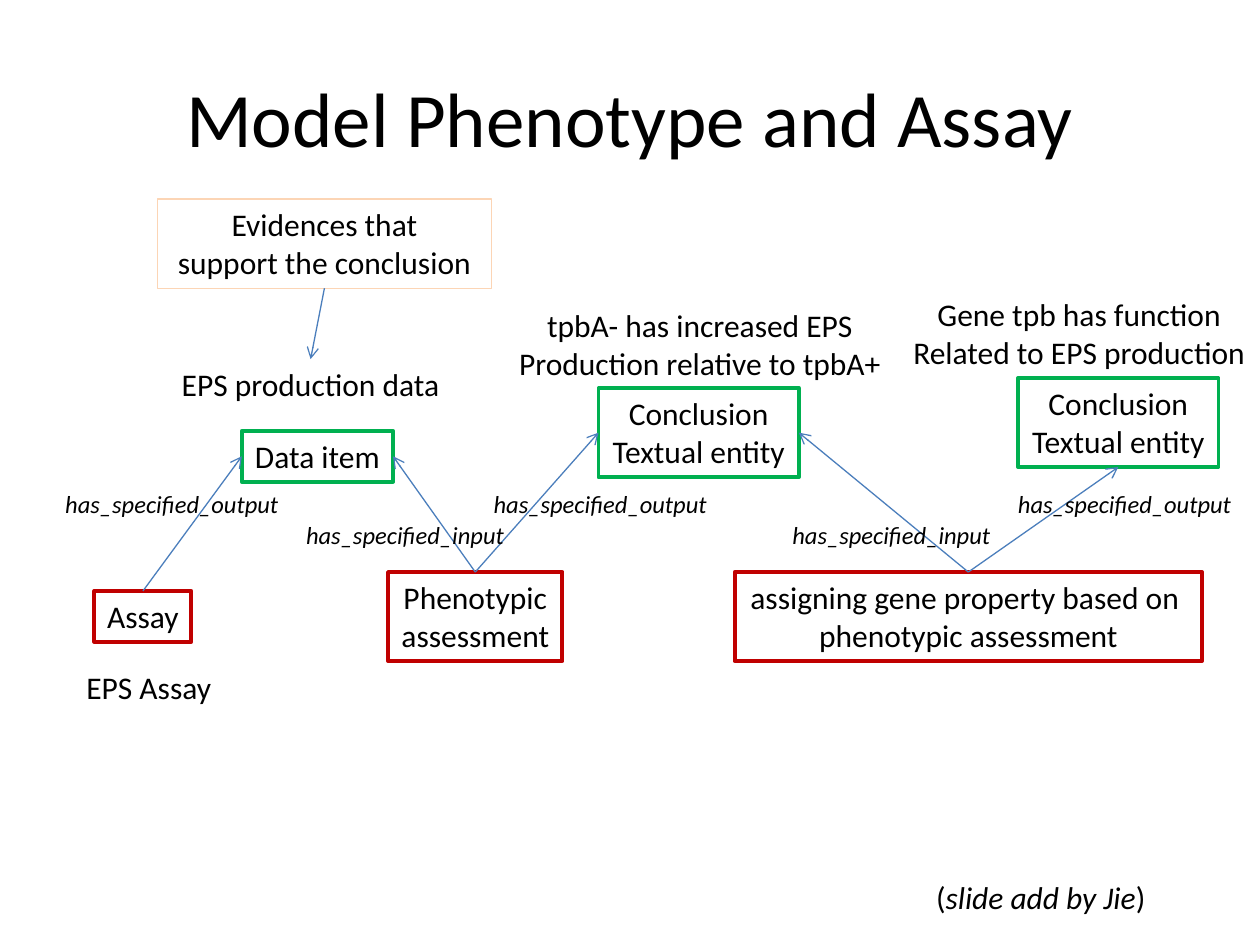
from lxml.etree import SubElement
from pptx import Presentation
from pptx.dml.color import RGBColor
from pptx.enum.shapes import MSO_CONNECTOR, MSO_SHAPE
from pptx.enum.text import MSO_ANCHOR, MSO_AUTO_SIZE, PP_ALIGN
from pptx.oxml.ns import qn
from pptx.util import Pt

BLACK = RGBColor(0x00, 0x00, 0x00)
WHITE = RGBColor(0xFF, 0xFF, 0xFF)
RED = RGBColor(0xC0, 0x00, 0x00)
GREEN = RGBColor(0x00, 0xB0, 0x50)
PEACH = RGBColor(0xFC, 0xD5, 0xB5)
BLUE = RGBColor(0x4B, 0x7E, 0xBC)

TOP, LEFT, BOTTOM, RIGHT = range(4)  # connection sites of a rectangle
LINE_HEIGHT = 21.8
PADDING = 7.3


class Diagram:
    """Holds the style and the slide being drawn."""

    font = "Calibri"

    def __init__(self, slide):
        """Keep the slide to draw on."""
        self.slide = slide

    def format_text(self, frame, size, alignment, italic=False):
        """Give every paragraph and run of a frame the diagram style."""
        for paragraph in frame.paragraphs:
            paragraph.alignment = alignment
            for run in paragraph.runs:
                run.font.name = self.font
                run.font.size = Pt(size)
                run.font.color.rgb = BLACK
                run.font.italic = italic

    def fit(self, frame):
        """Let a frame follow its unwrapped text."""
        frame.word_wrap = False
        frame.auto_size = MSO_AUTO_SIZE.SHAPE_TO_FIT_TEXT

    def title(self, text):
        """Fill and place the title placeholder."""
        title = self.slide.shapes.title
        title.left, title.top, title.width, title.height = Pt(36), Pt(21.6), Pt(648), Pt(90)
        title.text_frame.text = text
        title.text_frame.vertical_anchor = MSO_ANCHOR.MIDDLE
        self.format_text(title.text_frame, 44, PP_ALIGN.CENTER)

    def box(self, text, left, top, width, color=WHITE, weight=2.25):
        """Add an outlined box as high as its lines of text."""
        height = PADDING + LINE_HEIGHT * len(text.split("\n"))
        shape = self.slide.shapes.add_shape(
            MSO_SHAPE.RECTANGLE, Pt(left), Pt(top), Pt(width), Pt(height))
        shape.shadow.inherit = False
        shape.fill.background()
        shape.line.color.rgb = color
        shape.line.width = Pt(weight)
        frame = shape.text_frame
        frame.text = text
        frame.vertical_anchor = MSO_ANCHOR.TOP
        self.fit(frame)
        self.format_text(frame, 18, PP_ALIGN.CENTER)
        return shape

    def label(self, text, left, top, width, height=24.2, size=14):
        """Add an italic text box."""
        shape = self.slide.shapes.add_textbox(Pt(left), Pt(top), Pt(width), Pt(height))
        frame = shape.text_frame
        frame.text = text
        self.fit(frame)
        self.format_text(frame, size, PP_ALIGN.LEFT, italic=True)
        return shape

    def arrow(self, source, source_site, target, target_site):
        """Connect two boxes with an open-headed arrow."""
        connector = self.slide.shapes.add_connector(MSO_CONNECTOR.STRAIGHT, 0, 0, 0, 0)
        connector.begin_connect(source, source_site)
        connector.end_connect(target, target_site)
        connector.line.color.rgb = BLUE
        connector.line.width = Pt(0.75)
        SubElement(connector.line._get_or_add_ln(), qn("a:tailEnd"), type="arrow")
        SubElement(connector._element.spPr, qn("a:effectLst"))

    def credit(self, text, left, top, width):
        """Add an italic note between upright parentheses."""
        shape = self.label(text, left, top, width, 29.1, 18)
        paragraph = shape.text_frame.paragraphs[0]
        paragraph.runs[0].text = "("
        for part in (text, ")"):
            paragraph.add_run().text = part
        self.format_text(shape.text_frame, 18, PP_ALIGN.LEFT)
        paragraph.runs[1].font.italic = True


presentation = Presentation()
presentation.slide_width, presentation.slide_height = Pt(720), Pt(540)
diagram = Diagram(presentation.slides.add_slide(presentation.slide_layouts[5]))

diagram.title("Model Phenotype and Assay")

assay = diagram.box("Assay", 54, 337.7, 55.4, RED)
assessment = diagram.box("Phenotypic\nassessment", 221.8, 326.9, 99.6, RED)
assignment = diagram.box(
    "assigning gene property based on \nphenotypic assessment", 419.8, 326.9, 267.1, RED)

diagram.box("EPS Assay", 41.8, 378, 86.4)
diagram.box("tpbA- has increased EPS\nProduction relative to tpbA+", 288, 171.4, 223.9)
eps_data = diagram.box("EPS production data", 95.8, 205.2, 163.4)
diagram.box("Gene tpb has function\nRelated to EPS production", 513.4, 164.9, 206.6)

data_item = diagram.box("Data item", 138.2, 246.2, 86.4, GREEN)
conclusion_text = "Conclusion\nTextual entity"
phenotype_conclusion = diagram.box(conclusion_text, 342, 221.8, 114.5, GREEN)
gene_conclusion = diagram.box(conclusion_text, 581.8, 216, 114.5, GREEN)
evidence = diagram.box("Evidences that\nsupport the conclusion", 90, 113.8, 190.8, PEACH, 0.75)

for source, source_site, target, target_site in (
    (assay, TOP, data_item, LEFT),
    (assessment, TOP, data_item, RIGHT),
    (assessment, TOP, phenotype_conclusion, LEFT),
    (assignment, TOP, phenotype_conclusion, RIGHT),
    (assignment, TOP, gene_conclusion, BOTTOM),
    (evidence, BOTTOM, eps_data, TOP),
):
    diagram.arrow(source, source_site, target, target_site)

for left in (30.2, 275, 574.6):
    diagram.label("has_specified_output", left, 275.8, 139)
for left in (167.8, 445.7):
    diagram.label("has_specified_input", left, 293.8, 129.6)

diagram.credit("slide add by Jie", 527.8, 498.2, 136.8)

presentation.save("out.pptx")
